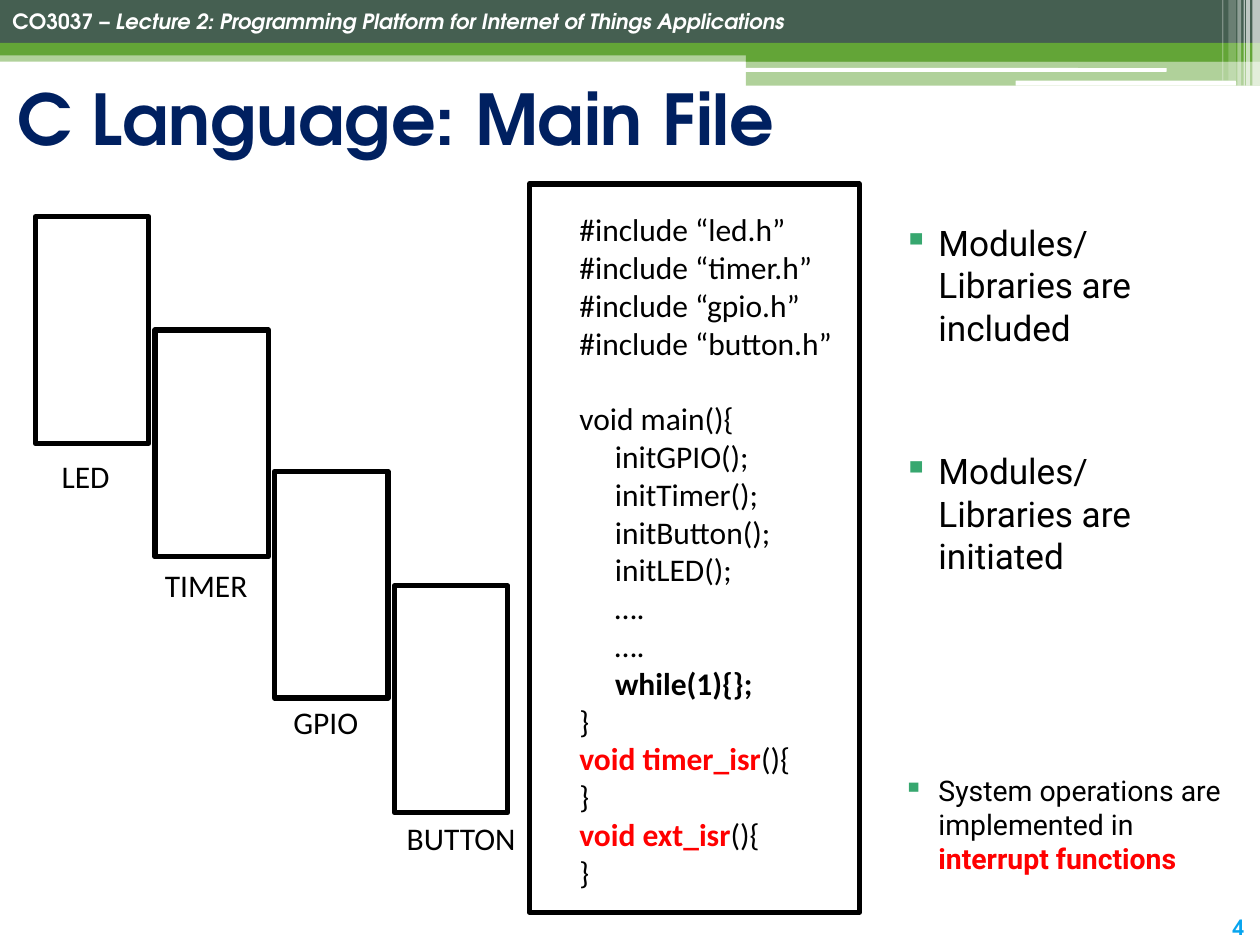
from dataclasses import dataclass
from typing import NamedTuple, Optional

from lxml.etree import SubElement
from pptx import Presentation
from pptx.dml.color import RGBColor
from pptx.enum.shapes import MSO_SHAPE as Shape
from pptx.enum.text import MSO_ANCHOR as Anchor, MSO_AUTO_SIZE as AutoSize, PP_ALIGN as Align
from pptx.oxml.ns import qn
from pptx.util import Inches, Pt


@dataclass(frozen=True)
class Theme:
    dark: str = "455F51"
    green: str = "63A537"
    white: str = "FFFFFF"
    black: str = "000000"
    navy: str = "002060"
    red: str = "FF0000"
    blue: str = "08A5EF"
    bullet: str = "37A76F"
    heading: str = "TeX Gyre Adventor"
    code: str = "Calibri"
    body: str = "Roboto"
    title_size: float = 40
    small_size: float = 12
    code_size: float = 18
    note_size: float = 20.1
    last_note_size: float = 16.2


T = Theme()


class Box(NamedTuple):
    left: float
    top: float
    width: float
    height: float


class Band(NamedTuple):
    box: Box
    color: str
    opacity: int = 100
    rounded: bool = False


class Run(NamedTuple):
    text: str
    bold: Optional[bool] = None
    italic: Optional[bool] = None
    color: Optional[str] = None


class Module(NamedTuple):
    name: str
    top: float
    label: Box


class Note(NamedTuple):
    box: Box
    runs: list
    size: float


BANDS = [
    Band(Box(0, 0.4, 10, 0.09), T.green, 50),
    Band(Box(0, 0, 10, 0.34), T.dark),
    Band(Box(0, 0.34, 10, 0.1), T.green),
    Band(Box(5.92, 0.39, 4.08, 0.1), T.green),
    Band(Box(5.92, 0.48, 4.08, 0.2), T.green, 50),
    Band(Box(5.91, 0.54, 3.35, 0.03), T.white, rounded=True),
    Band(Box(8.06, 0.64, 1.75, 0.04), T.white, rounded=True),
    Band(Box(9.94, 0, 0.06, 0.68), T.white, 65),
    Band(Box(9.89, 0, 0.03, 0.68), T.white, 65),
    Band(Box(9.87, 0, 0.01, 0.68), T.white, 60),
    Band(Box(9.82, 0, 0.03, 0.68), T.white, 40),
    Band(Box(9.75, 0, 0.06, 0.64), T.white, 20),
    Band(Box(9.7, 0, 0.01, 0.64), T.white, 30),
]

MODULES = [
    Module("LED", 1.72, Box(0.39, 3.58, 0.59, 0.4)),
    Module("TIMER", 2.62, Box(1.21, 4.44, 0.86, 0.4)),
    Module("GPIO", 3.74, Box(2.23, 5.53, 0.72, 0.4)),
    Module("BUTTON", 4.65, Box(3.13, 6.45, 1.07, 0.4)),
]
MODULE_LEFT, MODULE_STEP = 0.28, 0.95

INCLUDES = [[Run(f"#include “{name}.h”")] for name in ("led", "timer", "gpio", "button")]
MAIN_CODE = [
    [Run("void main(){")],
    *[[Run(f"     {line}")] for line in
      ("initGPIO();", "initTimer();", "initButton();", "initLED();", "….", "….")],
    [Run("     "), Run("while(1){};", bold=True)],
    [Run("}")],
]
HANDLERS = [
    line for name in ("timer_isr", "ext_isr")
    for line in ([Run(f"void {name}", bold=True, color=T.red), Run("(){")], [Run("}")])
]

NOTES = [
    Note(Box(6.95, 1.71, 2.84, 0.86), [Run("Modules/ Libraries are included")], T.note_size),
    Note(Box(6.95, 3.52, 2.84, 0.86), [Run("Modules/ Libraries are initiated")], T.note_size),
    Note(Box(6.95, 6.09, 2.84, 0.99),
         [Run("System operations are implemented in "),
          Run("interrupt functions", bold=True, color=T.red)], T.last_note_size),
]


def lengths(box: Box) -> list:
    return [Inches(v) for v in box]


def add_band(s, band: Band) -> None:
    kind = Shape.ROUNDED_RECTANGLE if band.rounded else Shape.RECTANGLE
    sp = s.shapes.add_shape(kind, *lengths(band.box))
    sp.shadow.inherit = False
    sp.line.fill.background()
    sp.fill.solid()
    sp.fill.fore_color.rgb = RGBColor.from_string(band.color)
    if band.opacity < 100:
        color = sp.fill._xPr.find(qn("a:solidFill"))[0]
        SubElement(color, qn("a:alpha"), val=str(band.opacity * 1000))


def add_frame(s, box: Box) -> None:
    sp = s.shapes.add_shape(Shape.RECTANGLE, *lengths(box))
    sp.shadow.inherit = False
    sp.fill.background()
    sp.line.color.rgb = RGBColor.from_string(T.black)
    sp.line.width = Pt(3)


def add_bullet(p) -> None:
    pPr = p._p.get_or_add_pPr()
    pPr.set("marL", str(Inches(0.4)))
    pPr.set("indent", str(Inches(-0.28)))
    SubElement(SubElement(pPr, qn("a:buClr")), qn("a:srgbClr"), val=T.bullet)
    SubElement(pPr, qn("a:buChar"), char="▪")


def write(tf, paragraphs: list, *, font: str, size: float, color: str = T.black,
          bold: bool = False, align=Align.LEFT, bullet: bool = False) -> None:
    for i, runs in enumerate(paragraphs):
        p = tf.paragraphs[0] if i == 0 else tf.add_paragraph()
        p.alignment = align
        if bullet:
            add_bullet(p)
        for run in runs:
            r = p.add_run()
            r.text = run.text
            f = r.font
            f.name, f.size = font, Pt(size)
            f.bold = bold if run.bold is None else run.bold
            f.italic = run.italic
            f.color.rgb = RGBColor.from_string(run.color or color)


def add_text(s, box: Box, paragraphs: list, *, wrap: bool = False, grow: bool = True, **style):
    tf = s.shapes.add_textbox(*lengths(box)).text_frame
    tf.word_wrap = wrap
    tf.auto_size = AutoSize.SHAPE_TO_FIT_TEXT if grow else AutoSize.NONE
    write(tf, paragraphs, **style)
    return tf


def main() -> None:
    prs = Presentation()
    prs.slide_width, prs.slide_height = Inches(10), Inches(7.5)
    s = prs.slides.add_slide(prs.slide_layouts[5])

    # Header decoration, course line and page number
    for band in BANDS:
        add_band(s, band)
    small = dict(font=T.heading, size=T.small_size, bold=True)
    course = [Run("CO3037 – "),
              Run("Lecture 2: Programming Platform for Internet of Things Applications", italic=True)]
    add_text(s, Box(0, 0.02, 6.41, 0.3), [course], color=T.white, **small)
    add_text(s, Box(9.64, 7.21, 0.38, 0.3), [[Run("4")]], color=T.blue, align=Align.CENTER, **small)

    # Title
    title = s.shapes.title
    title.left, title.top, title.width, title.height = lengths(Box(0.04, 0.52, 9.85, 0.82))
    tf = title.text_frame
    tf.vertical_anchor = Anchor.MIDDLE
    tf.auto_size = AutoSize.NONE
    write(tf, [[Run("C Language: Main File")]],
          font=T.heading, size=T.title_size, color=T.navy, bold=True)

    # Staircase of modules
    code = dict(font=T.code, size=T.code_size)
    for i, module in enumerate(MODULES):
        add_frame(s, Box(MODULE_LEFT + i * MODULE_STEP, module.top, 0.9, 1.8))
        add_text(s, module.label, [[Run(module.name)]], **code)

    # Main file listing, with a one-line gap after the includes
    add_frame(s, Box(4.2, 1.46, 2.62, 5.78))
    tf = add_text(s, Box(4.5, 1.62, 3.38, 6.46), INCLUDES + MAIN_CODE + HANDLERS, wrap=True, **code)
    tf.paragraphs[len(INCLUDES)].space_before = Pt(21.6)

    # Notes beside the listing
    for note in NOTES:
        add_text(s, note.box, [note.runs], wrap=True, grow=False,
                 font=T.body, size=note.size, bullet=True)

    prs.save("out.pptx")


if __name__ == "__main__":
    main()
